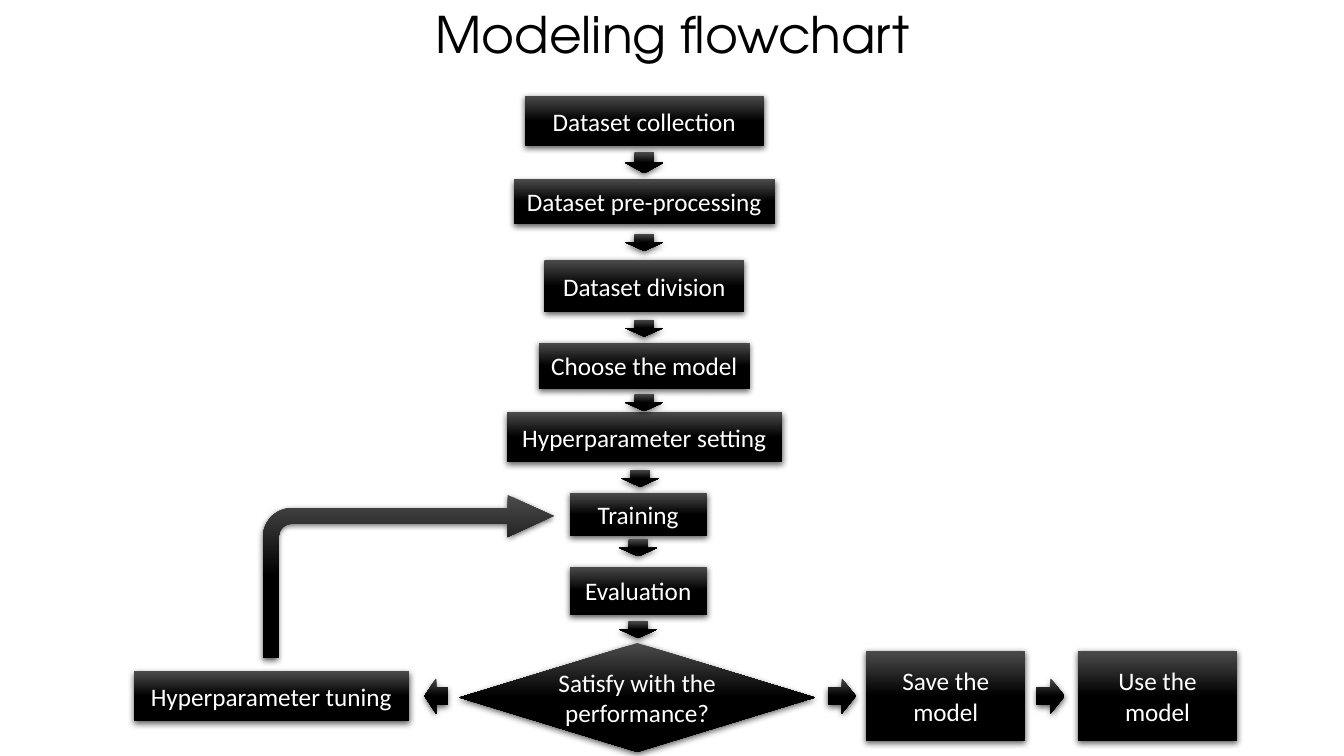
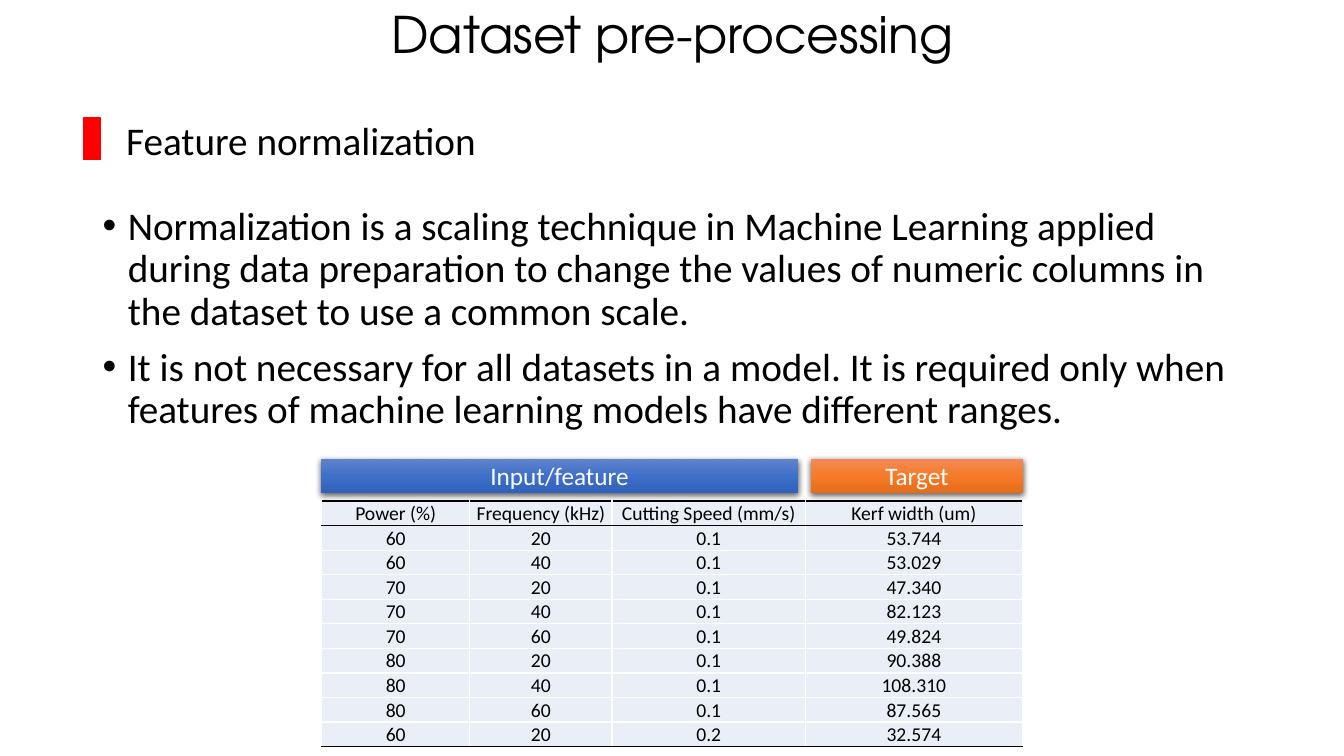
from lxml import etree
from pptx import Presentation, util as u
from pptx.dml.color import RGBColor
from pptx.enum import shapes, text
from pptx.oxml.ns import qn

Inches, Pt = u.Inches, u.Pt
SHAPE = shapes.MSO_SHAPE
ANCHOR = text.MSO_ANCHOR
CENTER = text.PP_ALIGN.CENTER

COLORS = {"black": "000000", "white": "FFFFFF", "red": "FF0000", "cell": "EAEFF7"}
GRADIENTS = {  # colours at 0, 50 and 100 percent, from top to bottom
    "black": ("4B4B4B", "000000", "000000"),
    "blue": ("6183CB", "3E70CA", "3062BB"),
    "orange": ("F18C57", "F67B28", "E56C19"),
}
BODY_FONT, TITLE_FONT = "Calibri", "TeX Gyre Adventor"

# Flowchart: text, centre, top, width, height
STEPS = [
    ("Dataset collection", 6.39, 0.95, 2.37, 0.5),
    ("Dataset pre-processing", 6.39, 1.78, 2.59, 0.44),
    ("Dataset division", 6.39, 2.58, 1.98, 0.52),
    ("Choose the model", 6.39, 3.4, 2.09, 0.46),
    ("Hyperparameter setting", 6.39, 4.09, 2.73, 0.49),
    ("Training", 6.33, 4.89, 1.36, 0.43),
    ("Evaluation", 6.33, 5.62, 1.36, 0.48),
    ("Hyperparameter tuning", 2.69, 6.66, 2.73, 0.49),
    ("Save the model", 9.38, 6.46, 1.58, 0.89),
    ("Use the model", 11.48, 6.46, 1.58, 0.89),
]
DECISION = ("Satisfy with the performance?", 6.32, 6.38, 3.53, 1.08)
# Arrows: centre, top, height
DOWN_ARROWS = [
    (6.39, 1.51, 0.21), (6.39, 2.32, 0.17), (6.39, 3.17, 0.17), (6.39, 3.91, 0.17),
    (6.35, 4.66, 0.17), (6.33, 5.35, 0.17), (6.33, 6.16, 0.17),
]
DOWN_ARROW_WIDTH = 0.38
# Arrows: shape, left, width
SIDE_ARROWS = [
    (SHAPE.LEFT_ARROW, 4.21, 0.23),
    (SHAPE.RIGHT_ARROW, 8.21, 0.28),
    (SHAPE.RIGHT_ARROW, 10.28, 0.28),
]
SIDE_ARROW_TOP, SIDE_ARROW_HEIGHT = 6.73, 0.35
LOOP_ADJUSTMENTS = (0.096, 0.129, 0.281, 0.174)

BULLETS = [
    "Normalization is a scaling technique in Machine Learning applied during data "
    "preparation to change the values of numeric columns in the dataset to use a common scale.",
    "It is not necessary for all datasets in a model. It is required only when features "
    "of machine learning models have different ranges.",
]
TABLE_LABELS = [("Input/feature", 3.18, 4.74, "blue"), ("Target", 8.04, 2.11, "orange")]
COLUMN_WIDTHS = (1.47, 1.41, 1.92, 2.15)
ROW_HEIGHT = 0.24
TABLE = [
    ("Power (%)", "Frequency (kHz)", "Cutting Speed (mm/s)", "Kerf width (um)"),
    ("60", "20", "0.1", "53.744"),
    ("60", "40", "0.1", "53.029"),
    ("70", "20", "0.1", "47.340"),
    ("70", "40", "0.1", "82.123"),
    ("70", "60", "0.1", "49.824"),
    ("80", "20", "0.1", "90.388"),
    ("80", "40", "0.1", "108.310"),
    ("80", "60", "0.1", "87.565"),
    ("60", "20", "0.2", "32.574"),
]


def rgb(name):
    return RGBColor.from_string(COLORS[name])


def add_xml(parent, tag, **attributes):
    return etree.SubElement(parent, qn(tag), attributes)


def format_text(tf, size, color="black", font=BODY_FONT, align=None, spacing=None):
    for p in tf.paragraphs:
        p.alignment = align
        p.line_spacing = spacing
        for r in p.runs:
            r.font.size, r.font.name = Pt(size), font
            r.font.color.rgb = rgb(color)


def add_text(slide, left, top, width, height, content):
    tf = slide.shapes.add_textbox(*map(Inches, (left, top, width, height))).text_frame
    tf.word_wrap = True
    tf.text = content
    return tf


def add_glossy(slide, kind, left, top, width, height, label="", gradient="black"):
    """Add a shape with the shared vertical gradient and soft shadow."""
    sp = slide.shapes.add_shape(kind, *map(Inches, (left, top, width, height)))
    sp.line.fill.background()
    sp.fill.gradient()
    sp.fill.gradient_angle = 270
    stops = sp._element.spPr.find(".//" + qn("a:gsLst"))
    for stop in list(stops):
        stops.remove(stop)
    for position, color in zip((0, 50000, 100000), GRADIENTS[gradient]):
        add_xml(add_xml(stops, "a:gs", pos=str(position)), "a:srgbClr", val=color)

    sp.shadow.inherit = False
    effects = sp._element.spPr.find(qn("a:effectLst"))
    shadow = add_xml(effects, "a:outerShdw", blurRad=str(Pt(4.5)), dist=str(Pt(1.5)),
                     dir="5400000", algn="ctr", rotWithShape="0")
    add_xml(add_xml(shadow, "a:srgbClr", val=COLORS["black"]), "a:alpha", val="63000")

    if label:
        tf = sp.text_frame
        tf.text = label
        tf.vertical_anchor = ANCHOR.MIDDLE
        format_text(tf, 18, "white", align=CENTER)
    return sp


def add_titled_slide(prs, title):
    slide = prs.slides.add_slide(prs.slide_layouts[6])
    tf = add_text(slide, 0.92, 0, 11.5, 0.73, title)
    tf.vertical_anchor = ANCHOR.MIDDLE
    format_text(tf, 36, font=TITLE_FONT, align=CENTER, spacing=0.9)
    return slide


def add_bullets(slide):
    tf = add_text(slide, 0.92, 2, 11.5, 2.45, "\n".join(BULLETS))
    format_text(tf, 28, spacing=0.9)
    for p in tf.paragraphs:
        p.space_before = Pt(10)
        pPr = p._p.get_or_add_pPr()
        pPr.set("marL", str(Inches(0.25)))
        pPr.set("indent", str(Inches(-0.25)))
        add_xml(pPr, "a:buFont", typeface="Arial")
        add_xml(pPr, "a:buChar", char="•")


def set_borders(cell, top, bottom):
    """Draw white side borders, with the given colours above and below."""
    tcPr = cell._tc.get_or_add_tcPr()
    for side, color in (("L", "white"), ("R", "white"), ("T", top), ("B", bottom)):
        ln = add_xml(tcPr, "a:ln" + side, w=str(Pt(1)))
        add_xml(add_xml(ln, "a:solidFill"), "a:srgbClr", val=COLORS[color])


def add_data_table(slide):
    box = (3.19, 4.97, sum(COLUMN_WIDTHS), ROW_HEIGHT * len(TABLE))
    table = slide.shapes.add_table(len(TABLE), len(COLUMN_WIDTHS), *map(Inches, box)).table
    table.first_row = table.horz_banding = False
    for column, width in zip(table.columns, COLUMN_WIDTHS):
        column.width = Inches(width)
    ruled = (0, 1, len(TABLE))  # row edges drawn in black
    for i, values in enumerate(TABLE):
        table.rows[i].height = Inches(ROW_HEIGHT)
        top, bottom = ("black" if edge in ruled else "white" for edge in (i, i + 1))
        for j, value in enumerate(values):
            cell = table.cell(i, j)
            cell.text = value
            cell.vertical_anchor = ANCHOR.BOTTOM
            cell.margin_left = cell.margin_right = cell.margin_top = Inches(0.01)
            cell.margin_bottom = 0
            set_borders(cell, top, bottom)
            cell.fill.solid()
            cell.fill.fore_color.rgb = rgb("cell")
            format_text(cell.text_frame, 14, align=CENTER)


def build_flowchart(prs):
    slide = add_titled_slide(prs, "Modeling flowchart")
    nodes = [(SHAPE.RECTANGLE, step) for step in STEPS]
    nodes.append((SHAPE.FLOWCHART_DECISION, DECISION))
    for kind, (label, centre, top, width, height) in nodes:
        add_glossy(slide, kind, centre - width / 2, top, width, height, label)
    for centre, top, height in DOWN_ARROWS:
        add_glossy(slide, SHAPE.DOWN_ARROW, centre - DOWN_ARROW_WIDTH / 2, top,
                   DOWN_ARROW_WIDTH, height)
    for kind, left, width in SIDE_ARROWS:
        add_glossy(slide, kind, left, SIDE_ARROW_TOP, width, SIDE_ARROW_HEIGHT)
    loop = add_glossy(slide, SHAPE.BENT_ARROW, 2.61, 4.91, 2.88, 1.62)
    for i, value in enumerate(LOOP_ADJUSTMENTS):
        loop.adjustments[i] = value


def build_preprocessing(prs):
    slide = add_titled_slide(prs, "Dataset pre-processing")
    marker = slide.shapes.add_shape(SHAPE.RECTANGLE, *map(Inches, (0.83, 1.17, 0.17, 0.41)))
    marker.shadow.inherit = False
    marker.fill.solid()
    marker.fill.fore_color.rgb = marker.line.color.rgb = rgb("red")
    marker.line.width = Pt(1)

    heading = add_text(slide, 1.13, 1.1, 3.71, 0.57, "Feature normalization")
    heading.word_wrap = False
    heading.auto_size = text.MSO_AUTO_SIZE.SHAPE_TO_FIT_TEXT
    format_text(heading, 28, align=CENTER)

    add_bullets(slide)
    add_data_table(slide)
    for label, left, width, gradient in TABLE_LABELS:
        add_glossy(slide, SHAPE.RECTANGLE, left, 4.55, width, 0.34, label, gradient)


def main():
    prs = Presentation()
    prs.slide_width, prs.slide_height = Inches(13.33), Inches(7.5)
    build_flowchart(prs)
    build_preprocessing(prs)
    prs.save("out.pptx")


if __name__ == "__main__":
    main()
